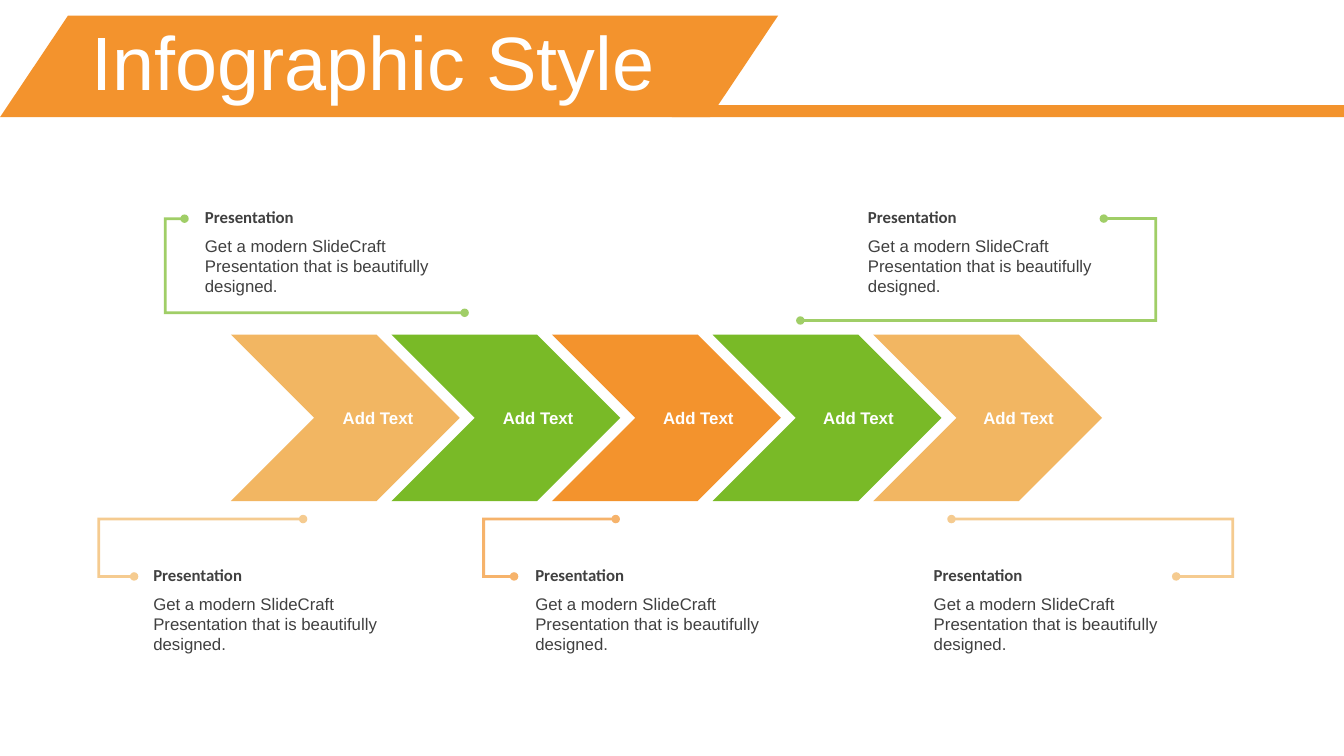
from dataclasses import dataclass

from lxml.etree import SubElement
from pptx import Presentation
from pptx.dml.color import RGBColor
from pptx.enum.shapes import MSO_CONNECTOR, MSO_SHAPE
from pptx.enum.text import MSO_ANCHOR, MSO_AUTO_SIZE, PP_ALIGN
from pptx.oxml.ns import qn
from pptx.util import Pt


@dataclass(frozen=True)
class Theme:
    orange: RGBColor = RGBColor(0xF3, 0x93, 0x2D)
    sand: RGBColor = RGBColor(0xF2, 0xB6, 0x62)
    green: RGBColor = RGBColor(0x79, 0xBA, 0x27)
    ink: RGBColor = RGBColor(0x40, 0x40, 0x40)
    white: RGBColor = RGBColor(0xFF, 0xFF, 0xFF)
    title_size: int = 54
    text_size: int = 12
    line_width: int = 2
    line_opacity: int = 70
    sans: str = "Arial"
    heading: str = "Calibri"


def apply_format(target, values):
    for name, value in values.items():
        setattr(target, name, value)


def points(*lengths):
    return [Pt(length) for length in lengths]


class SlideBuilder:
    def __init__(self, slide, theme):
        self.slide = slide
        self.theme = theme

    def fill_text(self, shape, text, size, color, font, bold=False,
                  alignment=PP_ALIGN.LEFT, spacing=1.0):
        paragraph = shape.text_frame.paragraphs[0]
        run = paragraph.add_run()
        run.text = text
        apply_format(paragraph, {"alignment": alignment, "line_spacing": spacing})
        apply_format(run.font, {"size": Pt(size), "name": font, "bold": bold})
        run.font.color.rgb = color

    def title(self, text, left, top, width, height):
        shape = self.slide.shapes.title
        apply_format(shape, dict(zip(("left", "top", "width", "height"),
                                     points(left, top, width, height))))
        apply_format(shape.text_frame, {
            "vertical_anchor": MSO_ANCHOR.MIDDLE,
            "auto_size": MSO_AUTO_SIZE.NONE,
            "word_wrap": True,
        })
        self.fill_text(shape, text, self.theme.title_size, self.theme.white,
                       self.theme.sans, spacing=0.9)

    def block(self, preset, color, left, top, width, height):
        shape = self.slide.shapes.add_shape(preset, *points(left, top, width, height))
        shape.shadow.inherit = False
        shape.fill.solid()
        shape.fill.fore_color.rgb = color
        shape.line.fill.background()
        return shape

    def banner(self):
        bar = self.block(MSO_SHAPE.RECTANGLE, self.theme.orange, 480, 75.1, 480, 8.6)
        ribbon = self.block(MSO_SHAPE.PARALLELOGRAM, self.theme.orange,
                            0, 11.2, 555.8, 72.5)
        ribbon.adjustments[0] = 0.67
        for shape in (bar, ribbon):
            self.slide.shapes.title.element.addprevious(shape.element)

    def text_box(self, text, left, top, width, height, **style):
        shape = self.slide.shapes.add_textbox(*points(left, top, width, height))
        apply_format(shape.text_frame, {
            "margin_left": 0,
            "margin_right": 0,
            "margin_top": Pt(3.6),
            "margin_bottom": Pt(3.6),
            "word_wrap": True,
            "auto_size": MSO_AUTO_SIZE.SHAPE_TO_FIT_TEXT,
        })
        self.fill_text(shape, text, self.theme.text_size, **style)

    def caption(self, heading, body, left, top):
        self.text_box(heading, left, top, 161, 21.6, color=self.theme.ink,
                      font=self.theme.heading, bold=True)
        self.text_box(body, left, top + 20.9, 161, 51, color=self.theme.ink,
                      font=self.theme.sans)

    def bracket(self, color, start, end, bend_x):
        connector = self.slide.shapes.add_connector(
            MSO_CONNECTOR.ELBOW, *points(*start, *end))
        connector.line.width = Pt(self.theme.line_width)
        connector.line.color.rgb = color
        properties = connector.element.spPr
        adjustments = properties.find(qn("a:prstGeom")).get_or_add_avLst()
        bend = round((bend_x - start[0]) / (end[0] - start[0]) * 100000)
        SubElement(adjustments, qn("a:gd"), name="adj1", fmla=f"val {bend}")
        line = properties.find(qn("a:ln"))
        SubElement(line.find(".//" + qn("a:srgbClr")), qn("a:alpha"),
                   val=str(self.theme.line_opacity * 1000))
        SubElement(line, qn("a:miter"), lim="800000")
        for tag in ("a:headEnd", "a:tailEnd"):
            SubElement(line, qn(tag), type="oval")
        SubElement(properties, qn("a:effectLst"))


def main():
    presentation = Presentation()
    apply_format(presentation, {"slide_width": Pt(960), "slide_height": Pt(540)})
    slide = presentation.slides.add_slide(presentation.slide_layouts[5])
    theme = Theme()
    builder = SlideBuilder(slide, theme)

    builder.title("Infographic Style", 58.3, 18.7, 881.3, 56.9)
    builder.banner()

    chevron_colors = (theme.sand, theme.green, theme.orange, theme.green, theme.sand)
    for index, color in enumerate(chevron_colors):
        builder.block(MSO_SHAPE.CHEVRON, color,
                      164.9 + 114.7 * index, 239, 163.5, 119)

    upper_row, lower_row = 144, 399.6
    for left, top in ((109.5, lower_row), (382.4, lower_row), (667, lower_row),
                      (146.4, upper_row), (620, upper_row)):
        builder.caption(
            "Presentation",
            "Get a modern SlideCraft Presentation that is beautifully designed.",
            left, top)

    for color, start, end, bend_x in (
        (theme.sand, (95.8, 411.8), (216.5, 370.8), 70.6),
        (theme.orange, (367.2, 411.8), (439.8, 370.8), 345.4),
        (theme.sand, (840.2, 411.8), (679.7, 370.8), 880.7),
        (theme.green, (131.8, 156.2), (331.9, 223.4), 117.9),
        (theme.green, (571.7, 229), (788.5, 156.2), 825.5),
    ):
        builder.bracket(color, start, end, bend_x)

    for index in range(len(chevron_colors)):
        builder.text_box("Add Text", 235.8 + 114.4 * index, 288, 68.4, 21.6,
                         color=theme.white, font=theme.sans, bold=True,
                         alignment=PP_ALIGN.CENTER)

    presentation.save("out.pptx")


if __name__ == "__main__":
    main()
